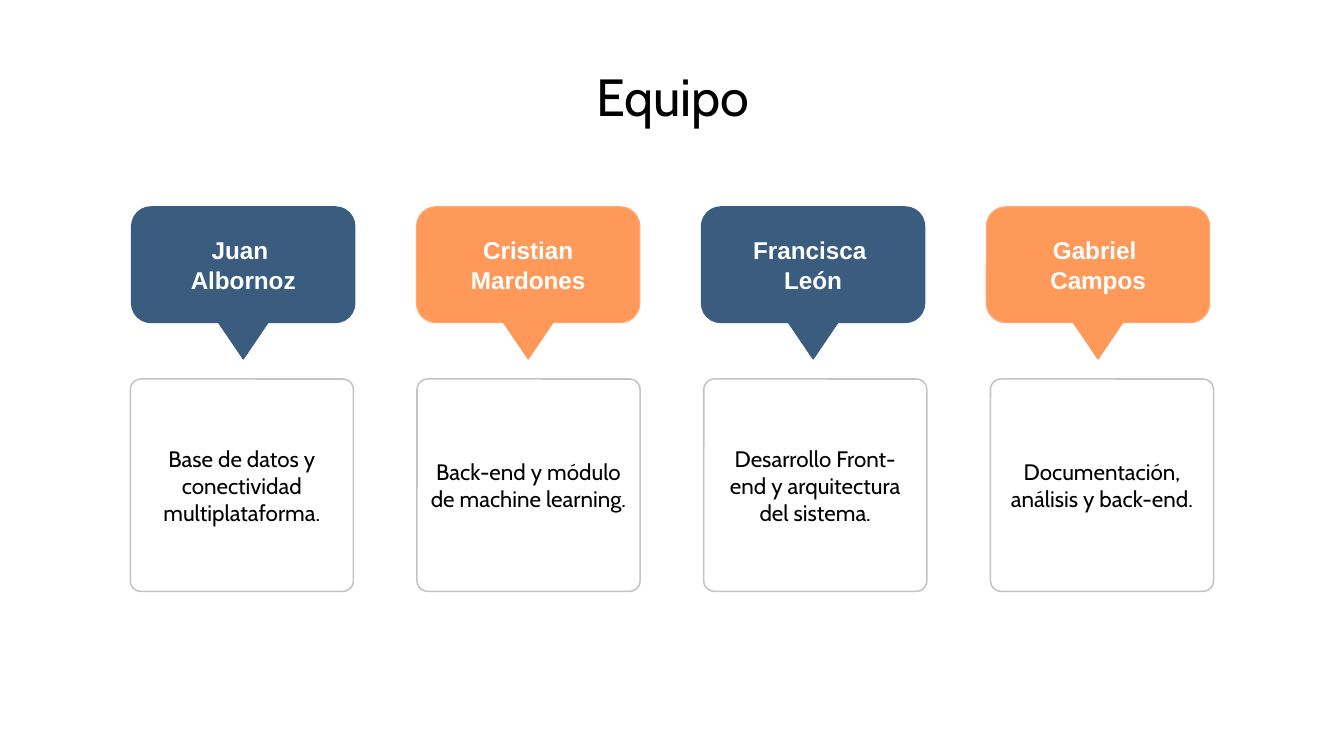
from pptx import Presentation
from pptx.dml.color import RGBColor
from pptx.enum import shapes, text
from pptx.util import Inches, Pt

NAVY = RGBColor(0x39, 0x5C, 0x7F)
ORANGE = RGBColor(0xFF, 0x99, 0x5A)
LIGHT_ORANGE = RGBColor(0xFF, 0xA6, 0x6F)
GREY = RGBColor(0xC4, 0xC4, 0xC4)
BLACK = RGBColor(0, 0, 0)
WHITE = RGBColor(0xFF, 0xFF, 0xFF)

TEAM = [
    ("Juan \nAlbornoz", "Base de datos y conectividad multiplataforma."),
    ("Cristian Mardones", "Back-end y módulo de machine learning."),
    ("Francisca \nLeón", "Desarrollo Front-end y arquitectura del sistema."),
    ("Gabriel \nCampos", "Documentación, análisis y back-end."),
]
COLUMN_WIDTH = 1.66
ROLE_PITCH = 6.4 / 3
NAME_PITCH = 2.12


def write(shape, words, font, size, color, bold=False):
    """Write centred words in a shape."""
    frame = shape.text_frame
    frame.text = words
    frame.word_wrap = True
    frame.vertical_anchor = text.MSO_ANCHOR.MIDDLE
    frame.margin_left = frame.margin_right = Inches(0.1)
    frame.margin_top = frame.margin_bottom = Inches(0.1)
    for paragraph in frame.paragraphs:
        paragraph.alignment = text.PP_ALIGN.CENTER
        for run in paragraph.runs:
            run.font.name = font
            run.font.size = Pt(size)
            run.font.bold = bold
            run.font.color.rgb = color


def add_block(slide, kind, left, top, width, height, fill, line, weight=0.75):
    """Add a flat shape, unfilled when fill is None."""
    block = slide.shapes.add_shape(
        kind, Inches(left), Inches(top), Inches(width), Inches(height))
    block.shadow.inherit = False
    if fill is None:
        block.fill.background()
    else:
        block.fill.solid()
        block.fill.fore_color.rgb = fill
    block.line.color.rgb = line
    block.line.width = Pt(weight)
    return block


def add_label(slide, words, size, left, top, width, height):
    """Add a centred black text box."""
    label = slide.shapes.add_textbox(
        Inches(left), Inches(top), Inches(width), Inches(height))
    write(label, words, "Cabin", size, BLACK)


def add_role(slide, role, left, top, width, height):
    """Add an outlined card and the role written over it."""
    card = add_block(slide, shapes.MSO_SHAPE.ROUNDED_RECTANGLE,
                     left, top, width, height, None, GREY, 0.81)
    card.adjustments[0] = 0.05
    add_label(slide, role, 12, left, top, width, height)


def add_name(slide, name, fill, line, left, top, width, height):
    """Add a name bubble with a pointer below its centre."""
    bubble = add_block(slide, shapes.MSO_SHAPE.ROUNDED_RECTANGLE,
                       left, top, width, height, fill, line)
    bubble.adjustments[0] = 0.167
    write(bubble, name, "Arial", 13, WHITE, bold=True)
    pointer_width = 0.38
    pointer = add_block(slide, shapes.MSO_SHAPE.ISOSCELES_TRIANGLE,
                        left + (width - pointer_width) / 2, top + height - 0.01,
                        pointer_width, 0.28, fill, fill)
    pointer.rotation = 180


def main():
    """Build the team slide."""
    deck = Presentation()
    deck.slide_width = Inches(10)
    deck.slide_height = deck.slide_width * 9 // 16
    slide = deck.slides.add_slide(deck.slide_layouts[6])
    for column, (_, role) in enumerate(TEAM):
        add_role(slide, role, 0.97 + column * ROLE_PITCH, 2.82, COLUMN_WIDTH, 1.58)
    add_label(slide, "Equipo", 28, 0.78, 0.45, 8.45, 0.53)
    styles = [(NAVY, NAVY), (ORANGE, LIGHT_ORANGE)]
    for column, (name, _) in enumerate(TEAM):
        fill, line = styles[column % 2]
        add_name(slide, name, fill, line,
                 0.98 + column * NAME_PITCH, 1.54, COLUMN_WIDTH, 0.86)
    deck.save("out.pptx")


if __name__ == "__main__":
    main()
